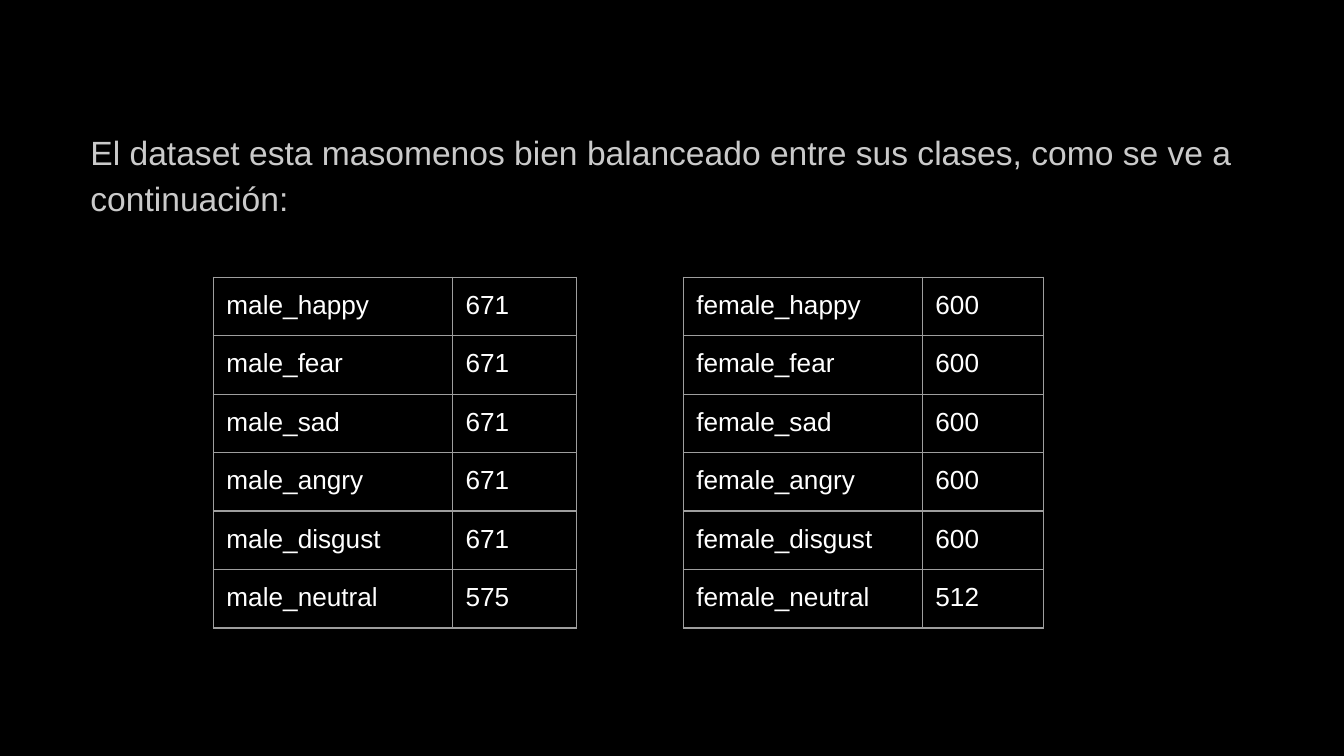
from lxml import etree
from pptx import Presentation
from pptx.dml.color import RGBColor
from pptx.oxml import ns
from pptx.util import Cm, Pt

BLACK = RGBColor(0x00, 0x00, 0x00)
WHITE = RGBColor(0xFF, 0xFF, 0xFF)
LIGHT_GREY = RGBColor(0xCA, 0xCA, 0xCA)
BORDER_GREY = RGBColor(0x9E, 0x9E, 0x9E)

FONT = "Arial"
INSET = Cm(0.25)
TABLE_TOP, TABLE_HEIGHT = Cm(5.24), Cm(6.63)
LABEL_WIDTH = Cm(4.52)

EMOTIONS = ["happy", "fear", "sad", "angry", "disgust", "neutral"]
MALE_COUNTS = [671, 671, 671, 671, 671, 575]
FEMALE_COUNTS = [600, 600, 600, 600, 600, 512]


def set_font(paragraph, size, color):
    paragraph.font.name = FONT
    paragraph.font.size = Pt(size)
    paragraph.font.color.rgb = color


def set_insets(target):
    target.margin_left = target.margin_right = INSET
    target.margin_top = target.margin_bottom = INSET


def add_intro(slide, wording):
    shape = slide.shapes.add_textbox(Cm(1.46), Cm(2.13), Cm(23.67), Cm(9.5))
    frame = shape.text_frame
    frame.word_wrap = True
    set_insets(frame)
    paragraph = frame.paragraphs[0]
    paragraph.text = wording
    paragraph.line_spacing = 1.15
    paragraph.space_after = Pt(16)
    set_font(paragraph, 18, LIGHT_GREY)


def add_borders(cell):
    properties = cell._tc.get_or_add_tcPr()
    # Border lines come before the fill in the cell properties
    for position, side in enumerate(("lnL", "lnR", "lnT", "lnB")):
        line = etree.Element(ns.qn(f"a:{side}"), w=str(Pt(0.75)))
        fill = etree.SubElement(line, ns.qn("a:solidFill"))
        etree.SubElement(fill, ns.qn("a:srgbClr"), val=str(BORDER_GREY))
        properties.insert(position, line)


def format_cell(cell, content):
    cell.text = str(content)
    cell.fill.background()
    set_insets(cell)
    set_font(cell.text_frame.paragraphs[0], 14, WHITE)
    add_borders(cell)


def add_count_table(slide, left, count_width, gender, counts):
    table = slide.shapes.add_table(
        len(EMOTIONS), 2, left, TABLE_TOP, LABEL_WIDTH + count_width, TABLE_HEIGHT
    ).table
    table.first_row = table.horz_banding = False
    table.columns[0].width = LABEL_WIDTH
    table.columns[1].width = count_width
    for row, (emotion, count) in enumerate(zip(EMOTIONS, counts)):
        format_cell(table.cell(row, 0), f"{gender}_{emotion}")
        format_cell(table.cell(row, 1), count)


def main():
    presentation = Presentation()
    presentation.slide_width = Cm(25.4)
    presentation.slide_height = Cm(14.29)
    slide = presentation.slides.add_slide(presentation.slide_layouts[6])

    # Background
    slide.background.fill.solid()
    slide.background.fill.fore_color.rgb = BLACK

    # Introduction
    add_intro(
        slide,
        "El dataset esta masomenos bien balanceado entre sus clases, "
        "como se ve a continuación:",
    )

    # Class counts by gender
    add_count_table(slide, Cm(4.03), Cm(2.35), "male", MALE_COUNTS)
    add_count_table(slide, Cm(12.91), Cm(2.29), "female", FEMALE_COUNTS)

    presentation.save("out.pptx")


if __name__ == "__main__":
    main()
